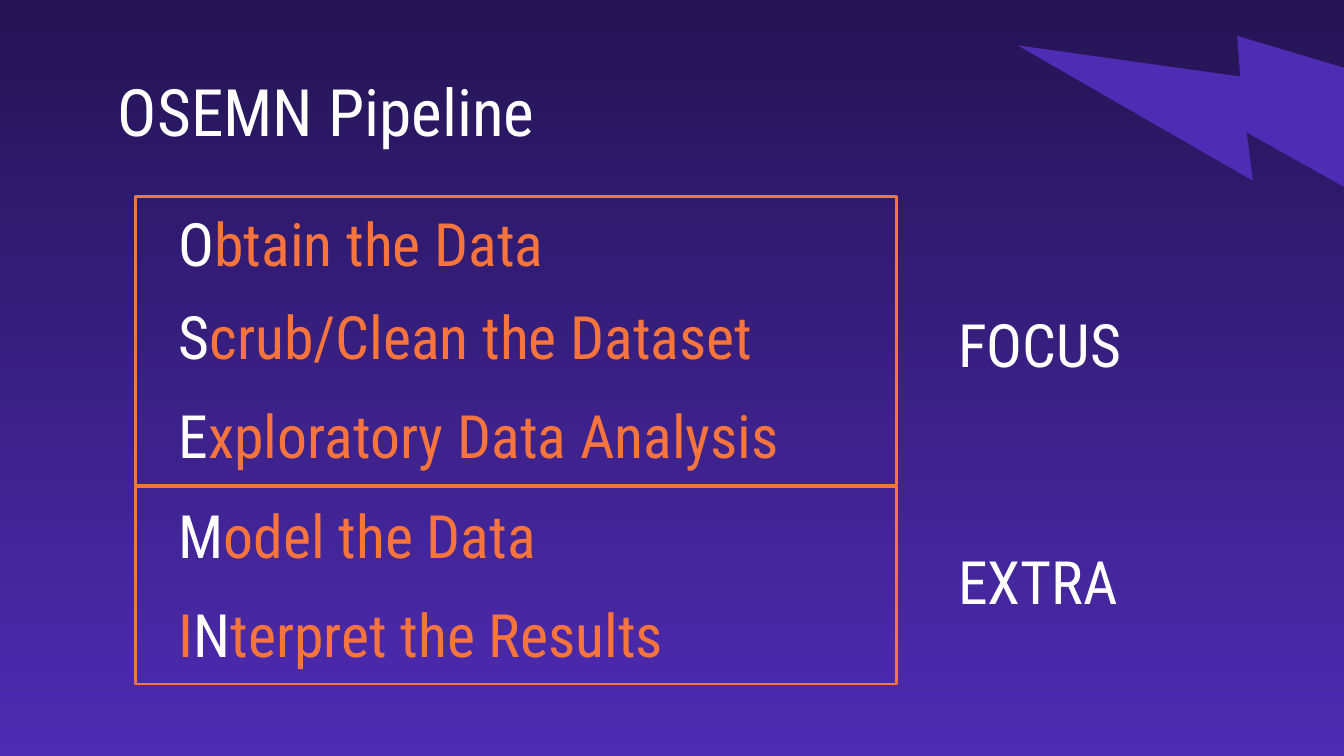
from pptx import Presentation
from pptx.dml.color import RGBColor
from pptx.enum.shapes import MSO_SHAPE
from pptx.enum.text import MSO_ANCHOR
from pptx.util import Inches, Pt

DARK = RGBColor(0x24, 0x14, 0x54)
VIOLET = RGBColor(0x4E, 0x2C, 0xB3)
ORANGE = RGBColor(0xF7, 0x74, 0x3C)
WHITE = RGBColor(0xFF, 0xFF, 0xFF)
FRAME = dict(word_wrap=True, vertical_anchor=MSO_ANCHOR.TOP)
FONT = dict(name="Roboto Condensed", size=Pt(32))


def apply(item, values):
    """Set each attribute of item from a dict of format values."""
    for key, value in values.items():
        setattr(item, key, value)


def add_text(slide, box, runs, size=32):
    """Write coloured runs in one line of text."""
    frame = slide.shapes.add_textbox(*map(Inches, box)).text_frame
    sides = ("left", "top", "right", "bottom")
    apply(frame, FRAME | {f"margin_{side}": Inches(0.1) for side in sides})
    for words, color in runs:
        run = frame.paragraphs[0].add_run()
        run.text = words
        apply(run.font, FONT | {"size": Pt(size)})
        run.font.color.rgb = color


def add_back(slide, box):
    """Paint the gradient and the bolt in the corner box."""
    fill = slide.background.fill
    fill.gradient()
    fill.gradient_angle = 270
    for stop, color in zip(fill.gradient_stops, (DARK, VIOLET)):
        stop.color.rgb = color
    bolt = slide.shapes.add_shape(MSO_SHAPE.LIGHTNING_BOLT, *map(Inches, box))
    bolt.shadow.inherit = False
    bolt.rotation = 59.9
    bolt.element.spPr.xfrm.set("flipH", "1")
    bolt.fill.solid()
    bolt.fill.fore_color.rgb = VIOLET
    bolt.line.fill.background()


def add_stage(slide, box, rows, label, drop):
    """Frame a group of steps and label it on the right."""
    left, top, width, height = box
    rect = slide.shapes.add_shape(MSO_SHAPE.RECTANGLE, *map(Inches, box))
    rect.shadow.inherit = False
    rect.fill.background()
    rect.line.color.rgb = ORANGE
    rect.line.width = Pt(1.5)
    for down, wide, runs in rows:
        add_text(slide, (left + 0.22, top + down, wide, 0.69), runs)
    place = left + width + 0.36, top + drop, 1.49, 0.69
    add_text(slide, place, [(label, WHITE)])


def main():
    """Build the pipeline slide."""
    deck = Presentation()
    wide = Inches(10)
    apply(deck, dict(slide_width=wide, slide_height=wide * 9 // 16))
    slide = deck.slides.add_slide(deck.slide_layouts[6])
    add_back(slide, (8.17, -0.7, 3.26, 3.26))
    add_text(slide, (0.78, 0.43, 8.43, 0.64), [("OSEMN Pipeline", WHITE)], 35)
    focus = [
        (-0.02, 3.41, [("O", WHITE), ("btain the Data", ORANGE)]),
        (0.67, 4.88, [("S", WHITE), ("crub/Clean the Dataset", ORANGE)]),
        (1.41, 6.25, [("E", WHITE), ("xploratory Data Analysis", ORANGE)]),
    ]
    extra = [
        (-0.01, 4.88, [("M", WHITE), ("odel the Data", ORANGE)]),
        (0.73, 4.88, [("I", ORANGE), ("N", WHITE),
                      ("terpret the Results", ORANGE)]),
    ]
    add_stage(slide, (1.01, 1.46, 5.66, 2.15), focus, "FOCUS", 0.73)
    add_stage(slide, (1.01, 3.62, 5.66, 1.47), extra, "EXTRA", 0.33)
    deck.save("out.pptx")


if __name__ == "__main__":
    main()
